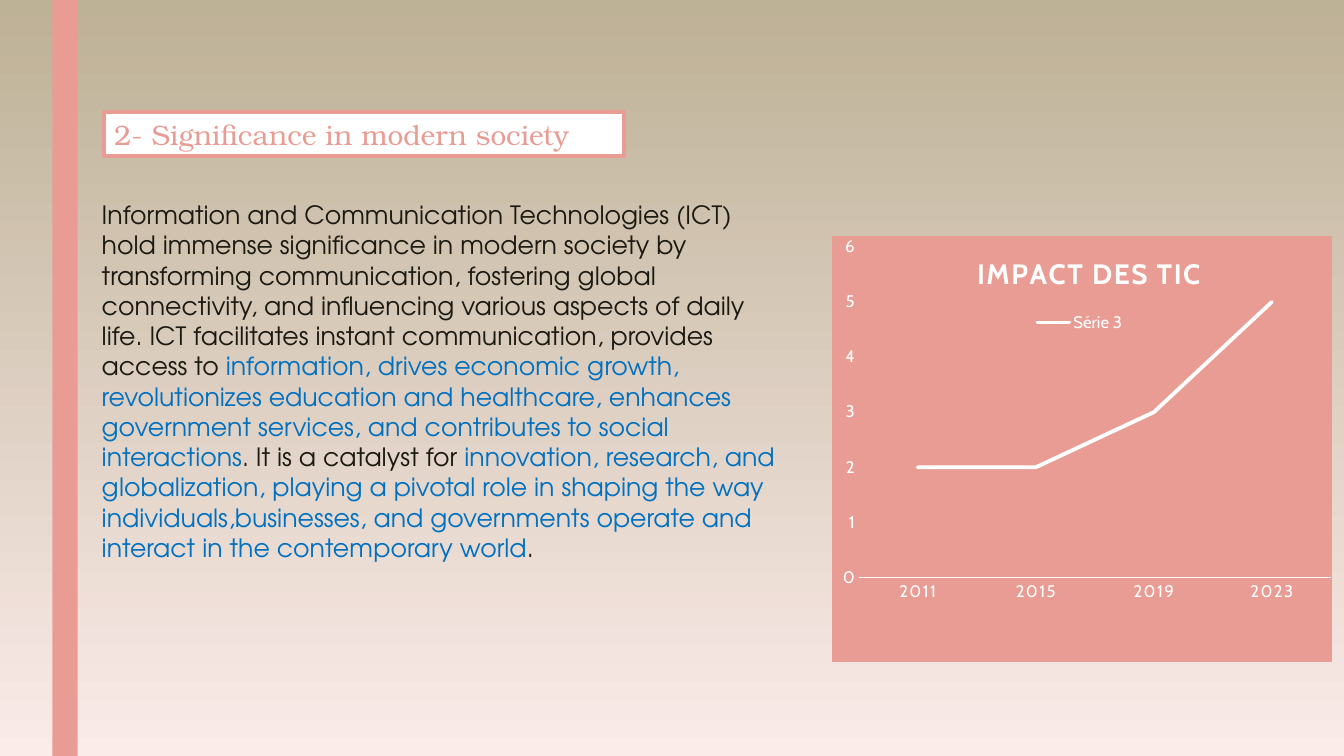
from lxml import etree
from pptx import Presentation
from pptx.chart.data import CategoryChartData
from pptx.dml.color import RGBColor
from pptx.enum.chart import XL_CHART_TYPE, XL_LEGEND_POSITION, XL_TICK_MARK
from pptx.enum.shapes import MSO_SHAPE
from pptx.enum.text import MSO_ANCHOR, MSO_AUTO_SIZE, PP_ALIGN
from pptx.oxml import parse_xml
from pptx.oxml.ns import nsdecls, qn
from pptx.util import Cm, Pt

LINE = XL_CHART_TYPE.LINE
LEGEND_TOP = XL_LEGEND_POSITION.TOP
NO_TICK = XL_TICK_MARK.NONE
RECTANGLE = MSO_SHAPE.RECTANGLE
LEFT = PP_ALIGN.LEFT
TOP, MIDDLE = MSO_ANCHOR.TOP, MSO_ANCHOR.MIDDLE
NO_FIT = MSO_AUTO_SIZE.NONE

# Content
HEADING = "2- Significance in modern society"
INK, BLUE, PINK, WHITE = "1C1911", "0070C0", "E99C93", "FFFFFF"
BODY = [
    ("Information and Communication Technologies (ICT) hold immense significance in modern "
     "society by transforming communication, fostering global connectivity, and influencing "
     "various aspects of daily life. ICT facilitates instant communication, provides access to ",
     INK),
    ("information, drives economic growth, revolutionizes education and healthcare, enhances "
     "government services, and contributes to social interactions", BLUE),
    (". It is a catalyst for ", INK),
    ("innovation, research, and globalization, playing a pivotal role in shaping the way "
     "individuals,businesses, and governments operate and interact in the contemporary world",
     BLUE),
    (".", INK),
]
CHART_TITLE = "IMPACT DES TIC"
YEARS = ["2011", "2015", "2019", "2023"]
SERIES_NAME, IMPACT = "Série 3", [2, 2, 3, 5]
BACKGROUND = ["BDB196", "FBEBE9"]
HEADING_FONT, BODY_FONT, CHART_FONT = "TeX Gyre Bonum", "TeX Gyre Adventor", "Cabin"

# Places: left, top, width, height in centimetres
SLIDE_SIZE = (33.87, 19.05)
BAND = (1.32, 0, 0.64, 19.05)
HEADING_BOX = (2.62, 2.82, 13.11, 1.12)
BODY_BOX = (2.31, 4.9, 17.65, 9.5)
CHART_BOX = (20.96, 5.94, 12.62, 10.74)


def color(hex_value):
    return RGBColor.from_string(hex_value)


def place(shape, box):
    shape.left, shape.top, shape.width, shape.height = map(Cm, box)


def style(font, name, size, hex_value, bold=False):
    font.name, font.size, font.bold = name, Pt(size), bold
    font.color.rgb = color(hex_value)


def prepare_text(shape, anchor):
    frame = shape.text_frame
    frame.word_wrap, frame.auto_size, frame.vertical_anchor = True, NO_FIT, anchor
    para = frame.paragraphs[0]
    para.alignment, para.space_before = LEFT, Pt(0)
    return para


def set_layout(part, index, **fractions):
    """Place a chart part by fractions of the chart area."""
    for old in part.findall(qn("c:layout")):
        part.remove(old)
    layout = parse_xml(f"<c:layout {nsdecls('c')}><c:manualLayout/></c:layout>")
    for name, value in fractions.items():
        etree.SubElement(layout[0], qn(f"c:{name}")).set("val", str(value))
    part.insert(index, layout)


deck = Presentation()
deck.slide_width, deck.slide_height = map(Cm, SLIDE_SIZE)
page = deck.slides.add_slide(deck.slide_layouts[1])

# Background and side band
backdrop = page.background.fill
backdrop.gradient()
backdrop.gradient_angle = 270
for stop, hex_value, position in zip(backdrop.gradient_stops, BACKGROUND, (0, 1)):
    stop.color.rgb, stop.position = color(hex_value), position

band = page.shapes.add_shape(RECTANGLE, *map(Cm, BAND))
band.shadow.inherit = False
band.fill.solid()
band.fill.fore_color.rgb = color(PINK)
band.line.fill.background()

# Heading
heading = page.shapes.title
place(heading, HEADING_BOX)
heading.fill.solid()
heading.fill.fore_color.rgb = color(WHITE)
heading.line.color.rgb, heading.line.width = color(PINK), Pt(2.75)
para = prepare_text(heading, MIDDLE)
para.text = HEADING
style(para.font, HEADING_FONT, 20, PINK)

# Body text
body = page.placeholders[1]
place(body, BODY_BOX)
para = prepare_text(body, TOP)
properties = para._p.get_or_add_pPr()
properties.set("marL", "0")
properties.set("indent", "0")
etree.SubElement(properties, qn("a:buNone"))
style(para.font, BODY_FONT, 18, INK)
for words, hex_value in BODY:
    span = para.add_run()
    span.text = words
    style(span.font, BODY_FONT, 18, hex_value)

# Line chart
data = CategoryChartData()
data.categories = YEARS
data.add_series(SERIES_NAME, IMPACT)
chart = page.shapes.add_chart(LINE, *map(Cm, CHART_BOX), data).chart
style(chart.font, CHART_FONT, 12, WHITE)
series = chart.plots[0].series[0]
series.smooth = False
series.format.line.color.rgb, series.format.line.width = color(WHITE), Pt(2.75)
series.format.line._ln.set("cap", "rnd")
chart.plots[0].vary_by_categories = False

years, values = chart.category_axis, chart.value_axis
for axis in (years, values):
    axis.major_tick_mark = axis.minor_tick_mark = NO_TICK
    axis.has_major_gridlines = False
    style(axis.tick_labels.font, CHART_FONT, 12, WHITE)
years.format.line.color.rgb, years.format.line.width = color(WHITE), Pt(1)
values.format.line.fill.background()
values.minimum_scale, values.maximum_scale, values.major_unit = 0, 6, 1

# Chart title and legend
chart.has_title = True
title = chart.chart_title
para = title.text_frame.paragraphs[0]
para.text = CHART_TITLE
style(para.font, CHART_FONT, 20, WHITE, bold=True)
title.include_in_layout = False
chart.has_legend = True
chart.legend.position, chart.legend.include_in_layout = LEGEND_TOP, False
style(chart.legend.font, CHART_FONT, 12, WHITE)

# Letter spacing, chart part places and chart area
root = chart.element
for props in root.xpath(".//c:catAx/c:txPr//a:defRPr | .//c:title//a:defRPr"):
    props.set("spc", "100")
set_layout(root.xpath(".//c:title")[0], 1, xMode="edge", yMode="edge", x=0.28, y=0.03)
set_layout(root.xpath(".//c:legend")[0], 1, xMode="edge", yMode="edge", x=0.4, y=0.17)
set_layout(root.xpath(".//c:plotArea")[0], 0, layoutTarget="inner", xMode="edge",
           yMode="edge", x=0.053, y=0.025, w=0.945, h=0.778)
paint = f'<a:solidFill><a:srgbClr val="{PINK}"/></a:solidFill>'
root.xpath("c:chart")[0].addnext(parse_xml(
    f'<c:spPr {nsdecls("c", "a")}>{paint}<a:ln w="9525">{paint}</a:ln></c:spPr>'))

deck.save("out.pptx")
